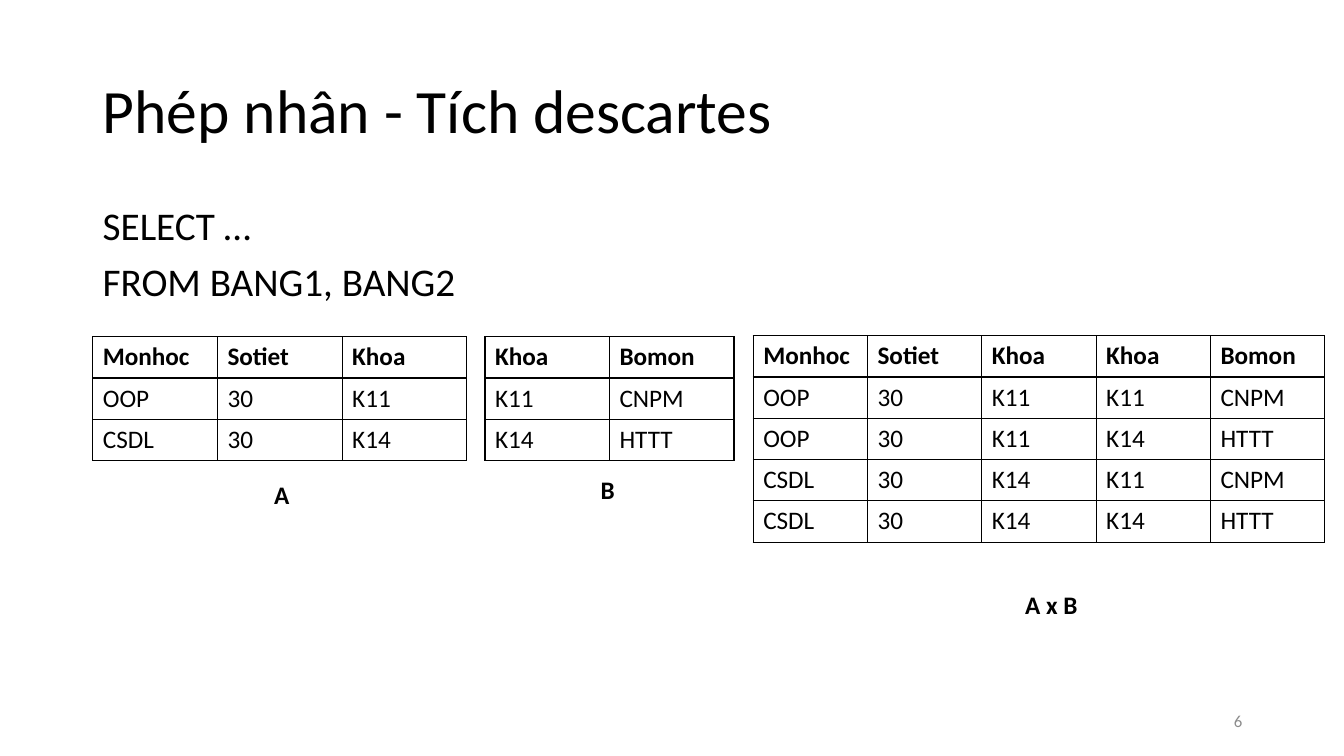
from itertools import product

from lxml import etree
from pptx import Presentation, util as u
from pptx.dml.color import RGBColor
from pptx.enum import text
from pptx.oxml import ns

BLACK = RGBColor(0x00, 0x00, 0x00)
GREY = RGBColor(0x8C, 0x8C, 0x8C)
FONT = "Calibri"
ROW_HEIGHT = 0.41

HEADER_A = ["Monhoc", "Sotiet", "Khoa"]
ROWS_A = [["OOP", "30", "K11"], ["CSDL", "30", "K14"]]
HEADER_B = ["Khoa", "Bomon"]
ROWS_B = [["K11", "CNPM"], ["K14", "HTTT"]]


def set_format(target, values):
    for name, value in values.items():
        setattr(target, name, value)


def style_font(para, size, color=BLACK, bold=False):
    for span in para.runs:
        set_format(span.font, {"name": FONT, "size": u.Pt(size), "bold": bold})
        span.font.color.rgb = color


def add_text(slide, place, lines, size, color=BLACK, bold=False,
             anchor=text.MSO_ANCHOR.TOP, align=text.PP_ALIGN.LEFT,
             line_spacing=1.0, gap=0):
    """Add a wrapped text box; gap is the space in points between paragraphs."""
    box = slide.shapes.add_textbox(*map(u.Inches, place))
    frame = box.text_frame
    set_format(frame, {"word_wrap": True, "vertical_anchor": anchor})
    for index, line in enumerate(lines):
        para = frame.paragraphs[0] if index == 0 else frame.add_paragraph()
        para.add_run().text = line
        set_format(para, {"alignment": align, "line_spacing": line_spacing,
                          "space_before": u.Pt(gap if index else 0)})
        style_font(para, size, color, bold)


def outline_cell(cell):
    properties = cell._tc.get_or_add_tcPr()
    for position, side in enumerate(("a:lnL", "a:lnR", "a:lnT", "a:lnB")):
        line = etree.Element(ns.qn(side), w=str(u.Pt(1)))
        fill = etree.SubElement(line, ns.qn("a:solidFill"))
        etree.SubElement(fill, ns.qn("a:srgbClr"), val=str(BLACK))
        properties.insert(position, line)


def add_relation(slide, left, top, width, header, rows):
    """Add a bordered table with equal columns and a bold header row."""
    records = [header, *rows]
    frame = slide.shapes.add_table(
        len(records), len(header), u.Inches(left), u.Inches(top),
        u.Inches(width), u.Inches(ROW_HEIGHT * len(records)))
    table = frame.table
    set_format(table, {"first_row": False, "horz_banding": False})
    for column in table.columns:
        column.width = u.Inches(width / len(header))
    for row_index, record in enumerate(records):
        table.rows[row_index].height = u.Inches(ROW_HEIGHT)
        for column_index, value in enumerate(record):
            cell = table.cell(row_index, column_index)
            cell.fill.background()
            outline_cell(cell)
            para = cell.text_frame.paragraphs[0]
            para.add_run().text = value
            style_font(para, 18, bold=row_index == 0)


def main():
    deck = Presentation()
    set_format(deck, {"slide_width": u.Inches(13.33),
                      "slide_height": u.Inches(7.5)})
    slide = deck.slides.add_slide(deck.slide_layouts[6])

    add_text(slide, (0.92, 0.4, 11.5, 1.45), ["Phép nhân - Tích descartes"],
             44, anchor=text.MSO_ANCHOR.MIDDLE, line_spacing=0.9)
    add_text(slide, (0.92, 2, 11.5, 4.76), ["SELECT …", "FROM BANG1, BANG2"],
             28, line_spacing=0.9, gap=10)

    joined_rows = [a + b for a, b in product(ROWS_A, ROWS_B)]
    add_relation(slide, 0.92, 3.34, 3.71, HEADER_A, ROWS_A)
    add_relation(slide, 4.81, 3.34, 2.47, HEADER_B, ROWS_B)
    add_relation(slide, 7.47, 3.33, 5.67, HEADER_A + HEADER_B, joined_rows)

    for caption, left, top in (("A", 2.62, 4.71), ("B", 5.86, 4.66),
                               ("A x B", 10.07, 5.8)):
        add_text(slide, (left, top, 1.02, 0.4), [caption], 18, bold=True)

    add_text(slide, (9.42, 6.95, 3, 0.4), ["6"], 12, GREY,
             anchor=text.MSO_ANCHOR.MIDDLE, align=text.PP_ALIGN.RIGHT)
    deck.save("out.pptx")


if __name__ == "__main__":
    main()
